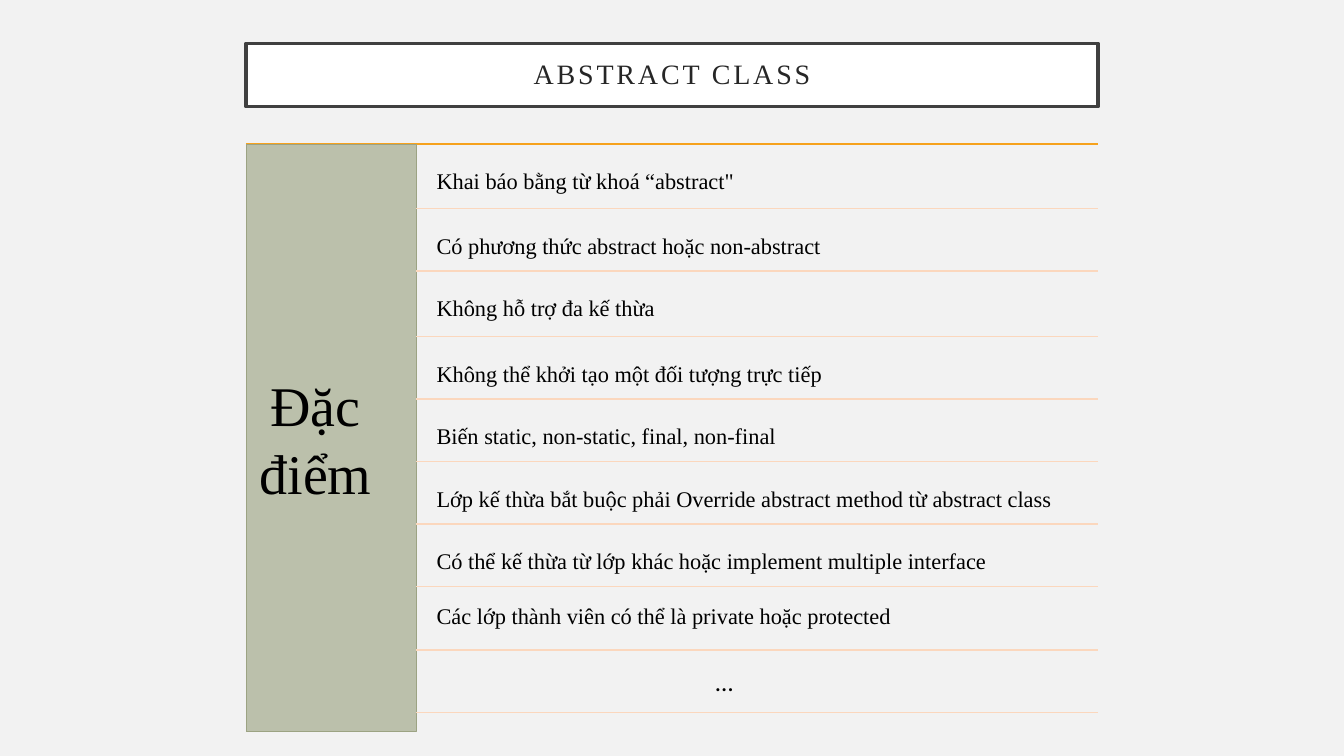
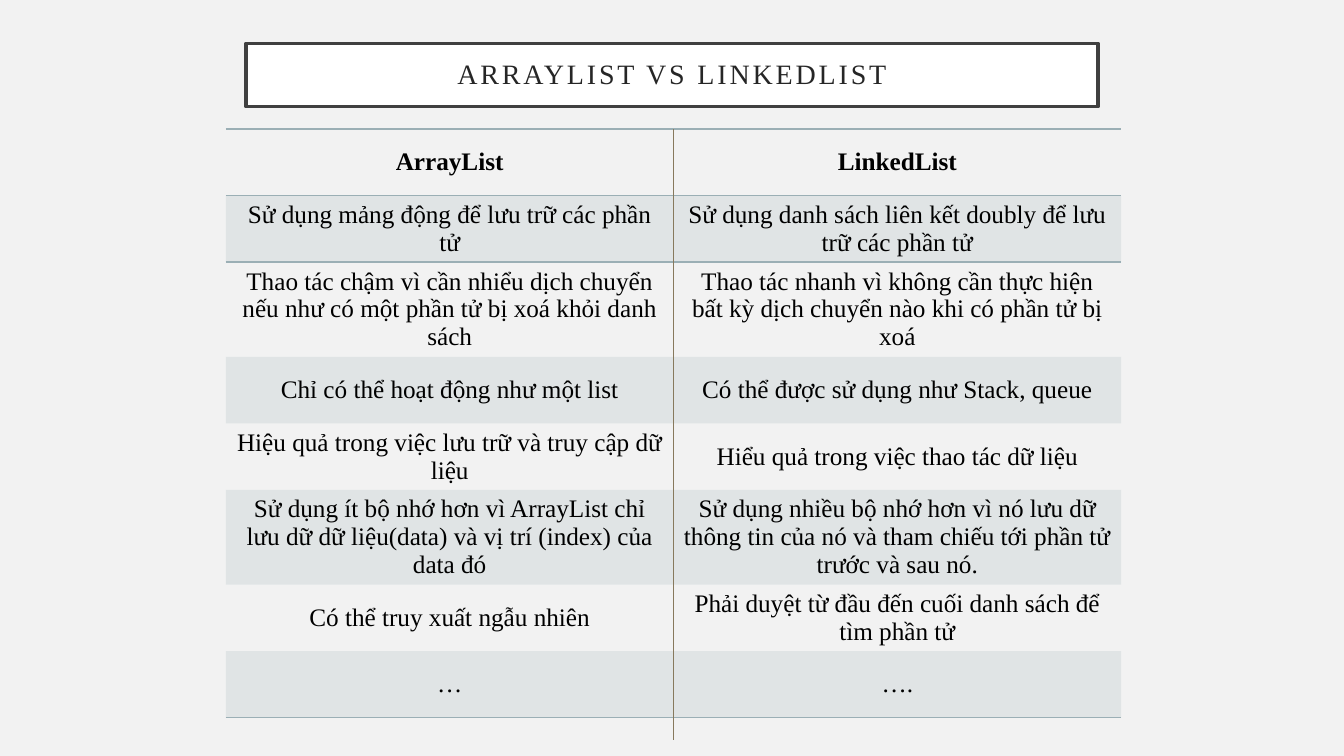
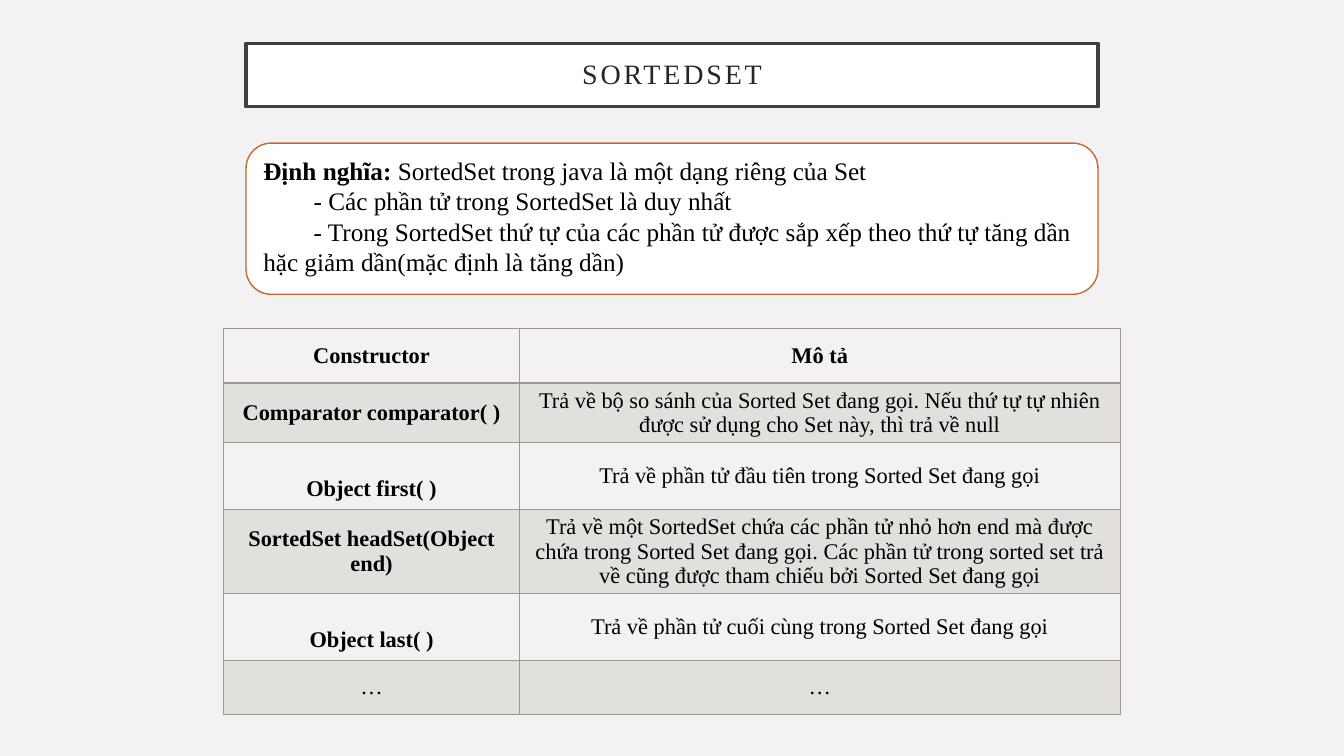
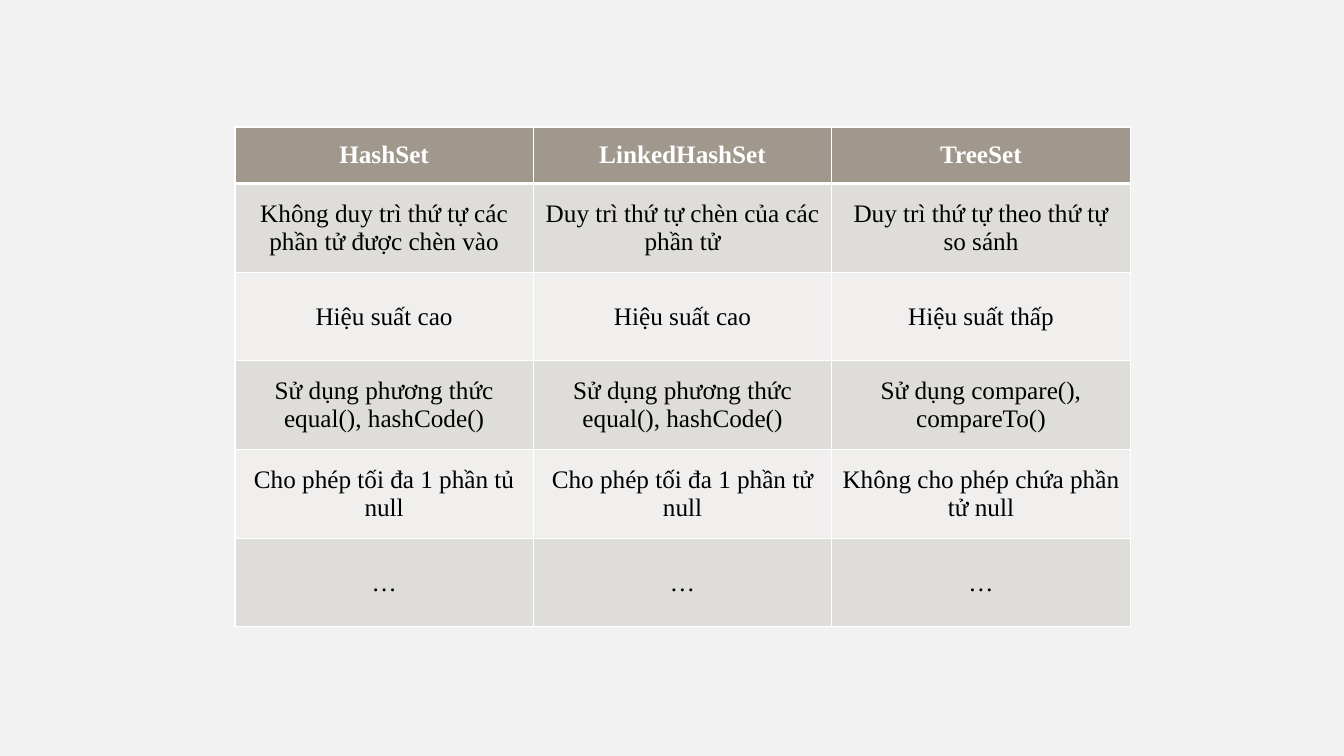
from dataclasses import dataclass
from typing import Optional

from lxml.etree import SubElement
from pptx import Presentation as new_presentation
from pptx.dml.color import RGBColor
from pptx.enum.shapes import MSO_CONNECTOR as Connector, MSO_SHAPE as Preset
from pptx.enum.text import MSO_ANCHOR as Anchor, PP_ALIGN as Align
from pptx.oxml.ns import qn
from pptx.presentation import Presentation
from pptx.shapes.autoshape import Shape
from pptx.slide import Slide
from pptx.table import _Cell as Cell
from pptx.text.text import TextFrame, _Paragraph as Paragraph
from pptx.util import Inches, Pt


@dataclass(frozen=True)
class Theme:
    font: str = "Times New Roman"
    symbol_font: str = "Calibri"
    background: str = "F2F2F2"
    white: str = "FFFFFF"
    black: str = "000000"
    title_text: str = "262626"
    title_border: str = "404040"
    accent_rule: str = "F6A21D"
    row_rule: str = "FBD7BD"
    panel_top: str = "BBC0AB"
    panel_bottom: str = "B9BEA8"
    panel_border: str = "9CA383"
    definition_border: str = "C96731"
    blue_grey: str = "9BAFB5"
    taupe: str = "A0988C"
    taupe_dark_band: str = "DFDDDA"
    taupe_light_band: str = "F0EFEE"
    divider: str = "87795D"
    title_size: int = 20
    body_size: int = 18
    small_size: int = 16
    panel_size: int = 40


THEME = Theme()
NO_STYLE_TABLE = "{2D5ABB26-0587-4C30-8999-92F81FD0307C}"
CONTENT_LEFT, CONTENT_WIDTH = 2.44, 8.45
CONTENT_RIGHT = CONTENT_LEFT + CONTENT_WIDTH


@dataclass(frozen=True)
class Box:
    left: float
    top: float
    width: float
    height: float

    def lengths(self) -> tuple[int, ...]:
        return tuple(Inches(n) for n in (self.left, self.top, self.width, self.height))


@dataclass(frozen=True)
class Feature:
    text: str
    height: float
    text_offset: float = 0.19


@dataclass(frozen=True)
class TableLook:
    edge: str
    header_rule: float
    odd_band: str
    even_band: Optional[str] = None
    header_fill: Optional[str] = None
    header_text: str = THEME.black
    band_opacity: int = 100
    grid: bool = True
    bold_names: bool = False
    size: int = THEME.body_size


TITLE_BOX = Box(CONTENT_LEFT, 0.43, CONTENT_WIDTH, 0.63)

FEATURES = [
    Feature("Khai báo bằng từ khoá “abstract\"", 0.64),
    Feature("Có phương thức abstract hoặc non-abstract", 0.62),
    Feature("Không hỗ trợ đa kế thừa", 0.65),
    Feature("Không thể khởi tạo một đối tượng trực tiếp", 0.62),
    Feature("Biến static, non-static, final, non-final", 0.62),
    Feature("Lớp kế thừa bắt buộc phải Override abstract method từ abstract class", 0.62),
    Feature("Có thể kế thừa từ lớp khác hoặc implement multiple interface", 0.62),
    Feature("Các lớp thành viên có thể là private hoặc protected", 0.63, 0.11),
]

LIST_ROWS = [
    ("ArrayList", "LinkedList"),
    ("Sử dụng mảng động để lưu trữ các phần tử",
     "Sử dụng danh sách liên kết doubly để lưu trữ các phần tử"),
    ("Thao tác chậm vì cần nhiểu dịch chuyển nếu như có một phần tử bị xoá khỏi danh sách",
     "Thao tác nhanh vì không cần thực hiện bất kỳ dịch chuyển nào khi có phần tử bị xoá"),
    ("Chỉ có thể hoạt động như một list", "Có thể được sử dụng như Stack, queue"),
    ("Hiệu quả trong việc lưu trữ và truy cập dữ liệu",
     "Hiểu quả trong việc thao tác dữ liệu"),
    ("Sử dụng ít bộ nhớ hơn vì ArrayList chỉ lưu dữ dữ liệu(data) và vị trí (index) của data đó",
     "Sử dụng nhiều bộ nhớ hơn vì nó lưu dữ thông tin của nó và tham chiếu tới phần tử "
     "trước và sau nó."),
    ("Có thể truy xuất ngẫu nhiên", "Phải duyệt từ đầu đến cuối danh sách để tìm phần tử"),
    ("…", "…."),
]

SORTED_SET_ROWS = [
    ("Constructor", "Mô tả"),
    ("Comparator comparator( )",
     "Trả về bộ so sánh của Sorted Set đang gọi. Nếu thứ tự tự nhiên được sử dụng cho Set này, "
     "thì trả về null"),
    ("Object first( )", "Trả về phần tử đầu tiên trong Sorted Set đang gọi"),
    ("SortedSet headSet(Object end)",
     "Trả về một SortedSet chứa các phần tử nhỏ hơn end mà được chứa trong Sorted Set đang gọi. "
     "Các phần tử trong sorted set trả về cũng được tham chiếu bởi Sorted Set đang gọi"),
    ("Object last( )", "Trả về phần tử cuối cùng trong Sorted Set đang gọi"),
    ("…", "…"),
]

SET_ROWS = [
    ("HashSet", "LinkedHashSet", "TreeSet"),
    ("Không duy trì thứ tự các phần tử được chèn vào",
     "Duy trì thứ tự chèn của các phần tử",
     "Duy trì thứ tự theo thứ tự so sánh"),
    ("Hiệu suất cao", "Hiệu suất cao", "Hiệu suất thấp"),
    ("Sử dụng phương thức equal(), hashCode()",
     "Sử dụng phương thức equal(), hashCode()",
     "Sử dụng compare(), compareTo()"),
    ("Cho phép tối đa 1 phần tủ null",
     "Cho phép tối đa 1 phần tử null",
     "Không cho phép chứa phần tử null"),
    ("…", "…", "…"),
]


def color(value: str) -> RGBColor:
    return RGBColor.from_string(value)


def add_run(paragraph: Paragraph, text: str, size: int, text_color: str = THEME.black,
            bold: bool = False, font: str = THEME.font, tracking: float = 0) -> None:
    run = paragraph.add_run()
    run.text = text
    run.font.name = font
    run.font.size = Pt(size)
    run.font.bold = bold
    run.font.color.rgb = color(text_color)
    if tracking:
        run.font._element.set("spc", str(round(tracking * 100)))


def set_insets(frame: TextFrame, inset: float) -> None:
    frame.margin_left = frame.margin_right = Inches(inset)
    frame.margin_top = frame.margin_bottom = Inches(inset)


def add_panel(slide: Slide, preset: Preset, box: Box, border: str, border_width: float) -> Shape:
    """Add a white bordered shape whose text wraps from the top left."""
    shape = slide.shapes.add_shape(preset, *box.lengths())
    shape.shadow.inherit = False
    shape.fill.solid()
    shape.fill.fore_color.rgb = color(THEME.white)
    shape.line.color.rgb = color(border)
    shape.line.width = Pt(border_width)
    shape.text_frame.word_wrap = True
    shape.text_frame.vertical_anchor = Anchor.TOP
    return shape


def add_text_frame(slide: Slide, box: Box) -> TextFrame:
    frame = slide.shapes.add_textbox(*box.lengths()).text_frame
    frame.word_wrap = True
    return frame


def add_line(slide: Slide, start: tuple[float, float], end: tuple[float, float],
             line_color: str, width: float) -> None:
    points = [Inches(n) for n in (*start, *end)]
    connector = slide.shapes.add_connector(Connector.STRAIGHT, *points)
    connector.line.color.rgb = color(line_color)
    connector.line.width = Pt(width)
    SubElement(connector._element.spPr, qn("a:effectLst"))


def add_title(slide: Slide, text: str) -> None:
    frame = add_panel(slide, Preset.RECTANGLE, TITLE_BOX, THEME.title_border, 2.5).text_frame
    set_insets(frame, 0.2)
    frame.vertical_anchor = Anchor.MIDDLE
    paragraph = frame.paragraphs[0]
    paragraph.alignment = Align.CENTER
    paragraph.line_spacing = 0.9
    add_run(paragraph, text, THEME.title_size, THEME.title_text, tracking=2)


def set_border(cell: Cell, side: str, line_color: str, width: float) -> None:
    line = SubElement(cell._tc.get_or_add_tcPr(), qn(f"a:ln{side}"), w=str(Pt(width)))
    fill = SubElement(line, qn("a:solidFill"))
    SubElement(fill, qn("a:srgbClr"), val=line_color)


def fill_cell(cell: Cell, fill: Optional[str], opacity: int) -> None:
    if fill is None:
        cell.fill.background()
        return
    cell.fill.solid()
    cell.fill.fore_color.rgb = color(fill)
    if opacity < 100:
        swatch = cell._tc.tcPr.find(qn("a:solidFill"))[0]
        SubElement(swatch, qn("a:alpha"), val=str(opacity * 1000))


def border_widths(look: TableLook, row: int, last_row: int) -> dict[str, float]:
    """Give the width of each drawn side, in the order the file format wants."""
    widths = {"L": 1, "R": 1, "T": 1, "B": 1} if look.grid else {}
    if row == 0:
        widths |= {"T": 1, "B": look.header_rule}
    elif row == 1:
        widths["T"] = look.header_rule
    if row == last_row:
        widths["B"] = 1
    return widths


def add_table(slide: Slide, left: float, top: float, columns: list[float], heights: list[float],
              rows: list[tuple[str, ...]], look: TableLook) -> list[list[Cell]]:
    box = Box(left, top, sum(columns), sum(heights))
    frame = slide.shapes.add_table(len(rows), len(columns), *box.lengths())
    table = frame.table
    table.first_row = table.horz_banding = False
    table._tbl.tblPr.find(qn("a:tableStyleId")).text = NO_STYLE_TABLE
    for column, width in zip(table.columns, columns):
        column.width = Inches(width)
    for row, height in zip(table.rows, heights):
        row.height = Inches(height)

    cells = [list(row.cells) for row in table.rows]
    for r, texts in enumerate(rows):
        is_header = r == 0
        band = look.header_fill if is_header else (look.even_band, look.odd_band)[r % 2]
        for c, (cell, text) in enumerate(zip(cells[r], texts)):
            for side, width in border_widths(look, r, len(rows) - 1).items():
                set_border(cell, side, look.edge, width)
            fill_cell(cell, band, look.band_opacity)
            cell.vertical_anchor = Anchor.MIDDLE
            paragraph = cell.text_frame.paragraphs[0]
            paragraph.alignment = Align.CENTER
            is_name = look.bold_names and c == 0 and text != "…"
            add_run(paragraph, text, look.size,
                    look.header_text if is_header else THEME.black, is_header or is_name)
    return cells


def add_side_panel(slide: Slide, top: float) -> None:
    panel = add_panel(slide, Preset.RECTANGLE, Box(CONTENT_LEFT, top, 1.69, 5.83),
                      THEME.panel_border, 0.5)
    panel.fill.gradient()
    panel.fill.gradient_angle = 270
    for stop, shade in zip(panel.fill.gradient_stops, (THEME.panel_top, THEME.panel_bottom)):
        stop.color.rgb = color(shade)


def build_abstract_class(slide: Slide) -> None:
    add_title(slide, "ABSTRACT CLASS")
    top, rule_left = 1.43, 4.13
    add_line(slide, (CONTENT_LEFT, top), (CONTENT_RIGHT, top), THEME.accent_rule, 1)
    add_side_panel(slide, top)

    rule_top = top
    for feature in FEATURES:
        frame = add_text_frame(slide, Box(4.26, rule_top + feature.text_offset, 6.64, 0.43))
        set_insets(frame, 0.07)
        paragraph = frame.paragraphs[0]
        paragraph.line_spacing = 0.9
        add_run(paragraph, feature.text, THEME.small_size)
        rule_top += feature.height
        add_line(slide, (rule_left, rule_top), (CONTENT_RIGHT, rule_top), THEME.row_rule, 1)
    rule_top += 0.62
    add_line(slide, (rule_left, rule_top), (CONTENT_RIGHT, rule_top), THEME.row_rule, 1)

    label = add_text_frame(slide, Box(CONTENT_LEFT, 3.62, 1.38, 1.45)).paragraphs[0]
    label.alignment = Align.CENTER
    label.line_spacing = Pt(48.6)
    add_run(label, "Đặc điểm", THEME.panel_size)
    ellipsis = add_text_frame(slide, Box(5.06, 6.56, 4.25, 0.4)).paragraphs[0]
    ellipsis.alignment = Align.CENTER
    add_run(ellipsis, "…", THEME.body_size, font=THEME.symbol_font)


def build_list_comparison(slide: Slide) -> None:
    add_title(slide, "ARRAYLIST VS LINKEDLIST")
    look = TableLook(THEME.blue_grey, 1, THEME.blue_grey, band_opacity=20, grid=False)
    heights = [0.94 if row in (2, 5) else 0.66 for row in range(len(LIST_ROWS))]
    add_table(slide, 2.24, 1.28, [4.44] * 2, heights, LIST_ROWS, look)
    add_line(slide, (6.68, 1.28), (6.68, 7.34), THEME.divider, 0.5)


def build_sorted_set(slide: Slide) -> None:
    add_title(slide, "SORTEDSET")
    box = Box(CONTENT_LEFT, 1.42, CONTENT_WIDTH, 1.5)
    frame = add_panel(slide, Preset.ROUNDED_RECTANGLE, box, THEME.definition_border, 1).text_frame
    definition = frame.paragraphs[0]
    add_run(definition, "Định nghĩa: ", THEME.body_size, bold=True)
    add_run(definition, "SortedSet trong java là một dạng riêng của Set", THEME.body_size)
    for text in (
        "- Các phần tử trong SortedSet là duy nhất",
        "- Trong SortedSet thứ tự của các phần tử được sắp xếp theo thứ tự tăng dần "
        "hặc giảm dần(mặc định là tăng dần)",
    ):
        paragraph = frame.add_paragraph()
        paragraph._p.get_or_add_pPr().set("indent", str(Inches(0.5)))
        add_run(paragraph, text, THEME.body_size)
    for paragraph in frame.paragraphs:
        paragraph.alignment = Align.LEFT
        paragraph.line_spacing = Pt(21.6)

    look = TableLook(THEME.taupe, 2, THEME.taupe, band_opacity=20, bold_names=True,
                     size=THEME.small_size)
    cells = add_table(slide, 2.22, 3.26, [2.93, 5.96], [0.54] * len(SORTED_SET_ROWS),
                      SORTED_SET_ROWS, look)
    for row in (2, 4):
        lowered = cells[row][0]
        lowered.margin_left = lowered.margin_right = lowered.margin_bottom = Inches(0.08)
        lowered.margin_top = Inches(0.33)


def build_set_comparison(slide: Slide) -> None:
    look = TableLook(THEME.white, 3, THEME.taupe_dark_band, THEME.taupe_light_band,
                     THEME.taupe, THEME.white)
    heights = [0.56] + [0.88] * (len(SET_ROWS) - 1)
    add_table(slide, 2.33, 1.26, [2.96] * 3, heights, SET_ROWS, look)


def main() -> None:
    presentation: Presentation = new_presentation()
    presentation.slide_width, presentation.slide_height = Inches(13.33), Inches(7.5)
    background = presentation.slide_master.background.fill
    background.solid()
    background.fore_color.rgb = color(THEME.background)
    blank = presentation.slide_layouts[6]
    for build in (build_abstract_class, build_list_comparison, build_sorted_set,
                  build_set_comparison):
        build(presentation.slides.add_slide(blank))
    presentation.save("out.pptx")


if __name__ == "__main__":
    main()
